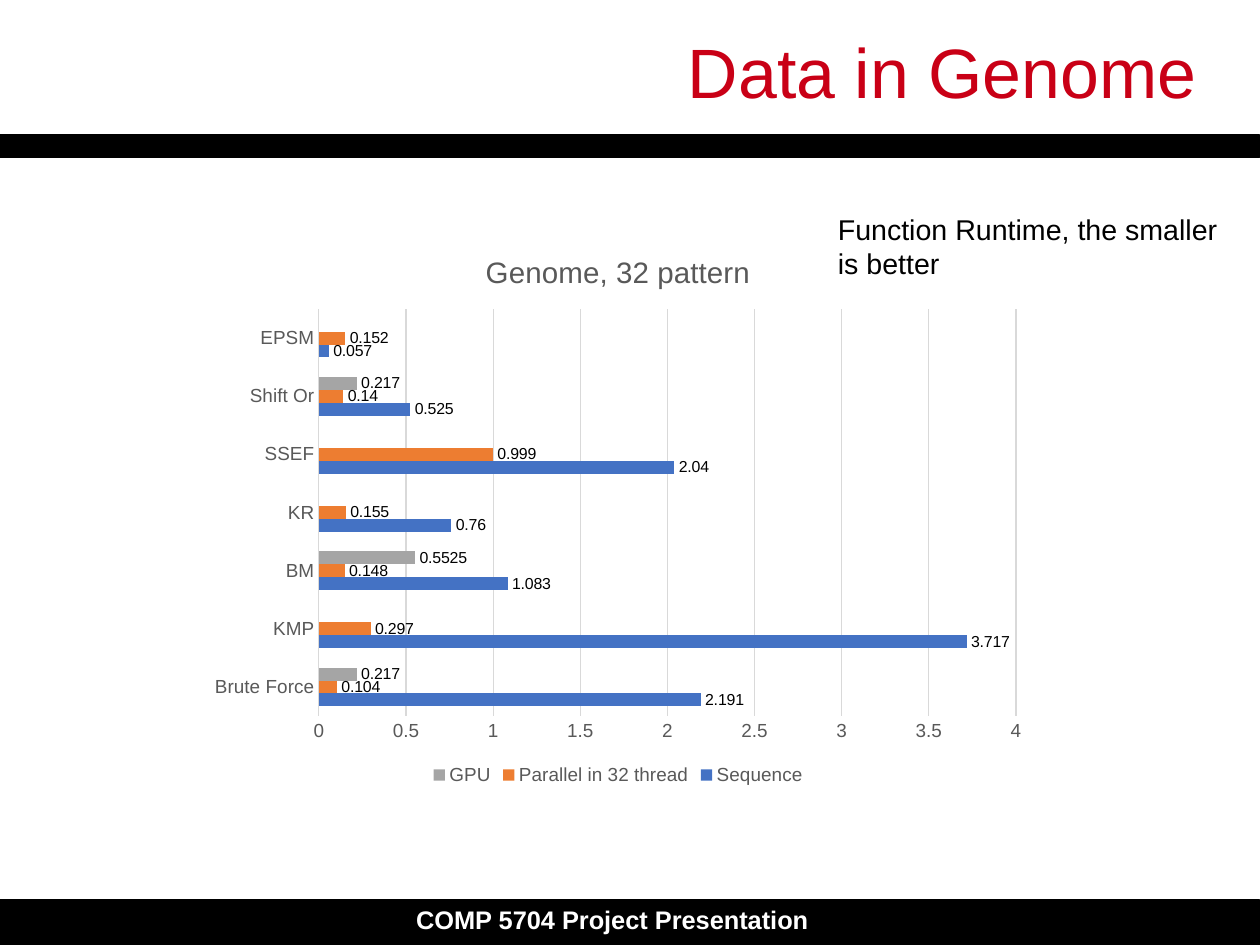
"""Build the genome runtime slide."""
from dataclasses import dataclass

from pptx import Presentation
from pptx import util as u
from pptx.chart import data as cdata
from pptx.dml.color import RGBColor
from pptx.enum import chart as kinds, shapes, text


@dataclass(frozen=True)
class Theme:
    font: str = "Arial"
    black: str = "000000"
    white: str = "FFFFFF"
    red: str = "C90016"
    gray: str = "595959"
    grid: str = "D9D9D9"
    title: float = 44
    note: float = 18
    foot: float = 16
    head: float = 18.6
    axis: float = 11.9
    label: float = 10


THEME = Theme()
GROUPS = ["Brute Force", "KMP", "BM", "KR", "SSEF", "Shift Or", "EPSM"]
TIMES = [
    ("Sequence", "4472C4", [2.191, 3.717, 1.083, 0.76, 2.04, 0.525, 0.057]),
    ("Parallel in 32 thread", "ED7D31",
     [0.104, 0.297, 0.148, 0.155, 0.999, 0.14, 0.152]),
    ("GPU", "A5A5A5", [0.217, None, 0.5525, None, None, 0.217, None]),
]


def style(font, size, color, bold=False):
    font.name = THEME.font
    font.size = u.Pt(size)
    font.bold = bold
    font.color.rgb = RGBColor.from_string(color)


def paint(fill, color):
    fill.solid()
    fill.fore_color.rgb = RGBColor.from_string(color)


def add_band(slide, top, height):
    band = slide.shapes.add_shape(shapes.MSO_SHAPE.RECTANGLE, 0, u.Cm(top),
                                  u.Cm(28), u.Cm(height))
    band.shadow.inherit = False
    paint(band.fill, THEME.black)
    paint(band.line.fill, THEME.black)
    band.line.width = u.Pt(0.75)


def add_words(slide, box, words, size, color, bold=False, wrap=True,
              align=text.PP_ALIGN.LEFT, space=1.0):
    frame = slide.shapes.add_textbox(*map(u.Cm, box)).text_frame
    frame.word_wrap = wrap
    line = frame.paragraphs[0]
    line.text = words
    line.alignment = align
    line.line_spacing = space
    style(line.font, size, color, bold)
    return frame


def add_title(slide, words):
    frame = add_words(slide, (1.4, 0.82, 25.2, 1.72), words, THEME.title,
                      THEME.red, align=text.PP_ALIGN.RIGHT, space=0.93)
    frame.margin_left = frame.margin_right = 0
    frame.margin_top = frame.margin_bottom = 0
    frame.vertical_anchor = text.MSO_ANCHOR.MIDDLE


def add_footer(slide, words):
    frame = add_words(slide, (9, 20, 9.22, 0.9), words, THEME.foot,
                      THEME.white, bold=True, wrap=False, space=0.93)
    frame.margin_top = u.Cm(0.15)


def style_axis(axis):
    axis.major_tick_mark = axis.minor_tick_mark = kinds.XL_TICK_MARK.NONE
    axis.format.line.fill.background()
    style(axis.tick_labels.font, THEME.axis, THEME.gray)


def style_bars(row, color):
    paint(row.format.fill, color)
    row.invert_if_negative = False
    tags = row.data_labels
    tags.show_value = True
    tags.position = kinds.XL_LABEL_POSITION.OUTSIDE_END
    style(tags.font, THEME.label, THEME.black)


def add_bars(slide, box, words):
    data = cdata.CategoryChartData()
    data.categories = GROUPS
    for name, _, times in TIMES:
        data.add_series(name, times)
    chart = slide.shapes.add_chart(kinds.XL_CHART_TYPE.BAR_CLUSTERED,
                                   *map(u.Cm, box), data).chart
    style(chart.font, THEME.label, THEME.black)

    chart.has_title = True
    head = chart.chart_title.text_frame
    head.text = words
    style(head.paragraphs[0].font, THEME.head, THEME.gray)
    chart.chart_title.include_in_layout = False

    chart.has_legend = True
    chart.legend.position = kinds.XL_LEGEND_POSITION.BOTTOM
    chart.legend.include_in_layout = False
    style(chart.legend.font, THEME.axis, THEME.gray)

    style_axis(chart.category_axis)
    scale = chart.value_axis
    style_axis(scale)
    scale.minimum_scale, scale.maximum_scale, scale.major_unit = 0, 4, 0.5
    scale.has_major_gridlines = True
    grid = scale.major_gridlines.format.line
    paint(grid.fill, THEME.grid)
    grid.width = u.Pt(0.75)

    plot = chart.plots[0]
    plot.gap_width = 150
    plot.overlap = 0
    plot.vary_by_categories = False
    for row, (_, color, _) in zip(plot.series, TIMES):
        style_bars(row, color)


def main():
    deck = Presentation()
    deck.slide_width, deck.slide_height = u.Cm(28), u.Cm(21)
    slide = deck.slides.add_slide(deck.slide_layouts[6])
    paint(slide.background.fill, THEME.white)
    add_band(slide, 20, 1)
    add_footer(slide, "COMP 5704 Project Presentation")
    add_band(slide, 3, 0.5)
    add_title(slide, "Data in Genome")
    add_bars(slide, (4.4, 5.1, 18.67, 12.45), "Genome, 32 pattern")
    add_words(slide, (18.37, 4.58, 9.4, 1.8),
              "Function Runtime, the smaller is better",
              THEME.note, THEME.black)
    deck.save("out.pptx")


if __name__ == "__main__":
    main()
